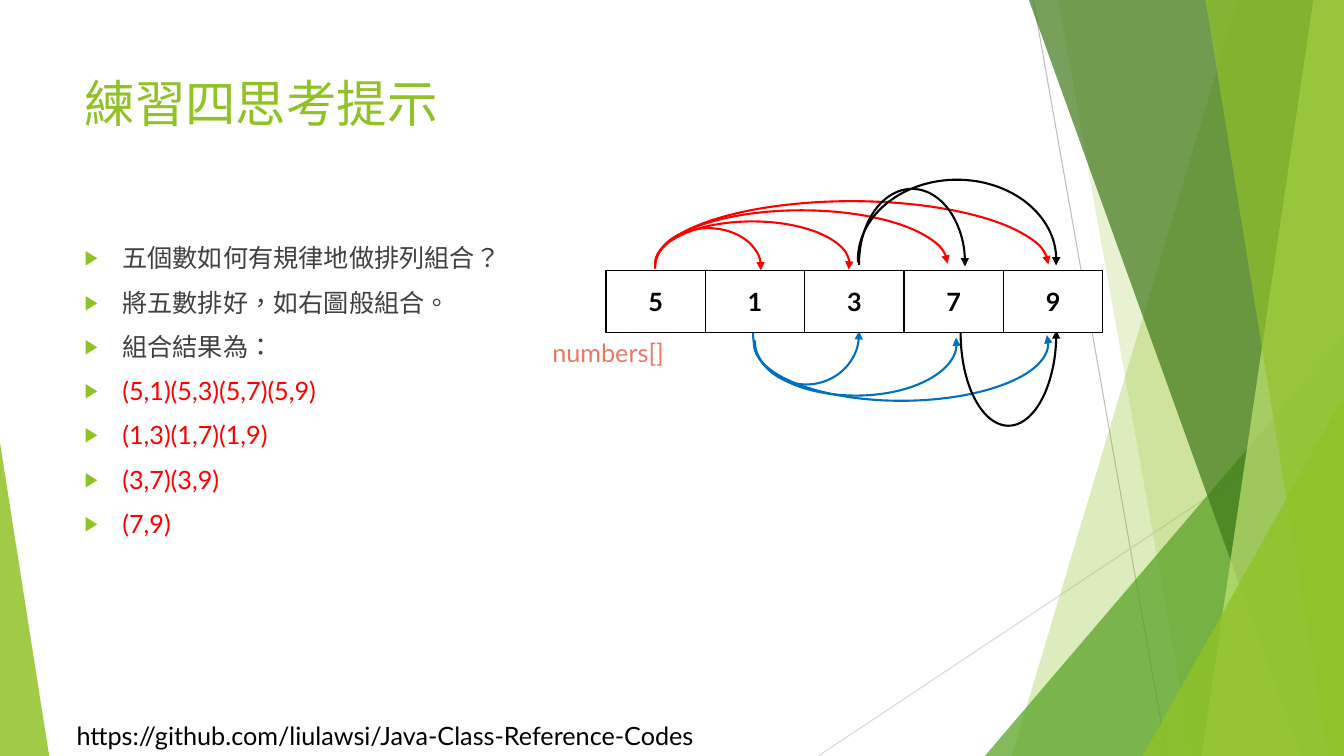
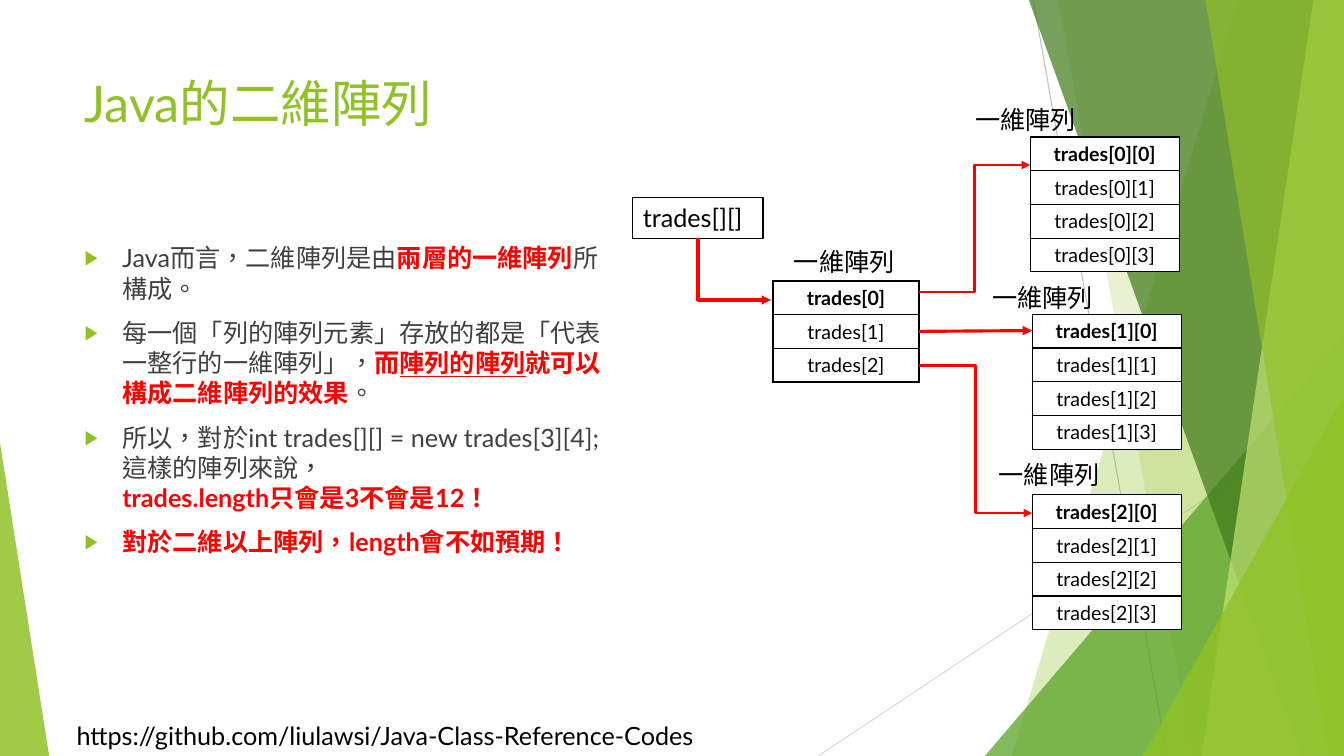
from dataclasses import dataclass

from lxml.etree import SubElement
from pptx import Presentation
from pptx.dml.color import RGBColor as RGB
from pptx.enum.lang import MSO_LANGUAGE_ID as Language
from pptx.enum.shapes import MSO_CONNECTOR as Connector, MSO_SHAPE as Preset
from pptx.enum.text import MSO_ANCHOR as Anchor, MSO_AUTO_SIZE as AutoSize, PP_ALIGN as Align
from pptx.oxml.ns import qn
from pptx.util import Cm, Pt


@dataclass(frozen=True)
class Theme:
    font: str = "Lato"
    lime: str = "90C226"
    green: str = "54A021"
    forest: str = "3F7819"
    pale: str = "C0E474"
    gray: str = "BFBFBF"
    silver: str = "D9D9D9"
    ink: str = "404040"
    black: str = "000000"
    white: str = "FFFFFF"
    red: str = "FF0000"
    blue: str = "0070C0"
    coral: str = "EB7766"
    title: int = 36
    text: int = 18
    cell: int = 14


THEME = Theme()
WIDTH, HEIGHT = 33.87, 19.05
MARGIN = 1.88
ROW_HEIGHT = 0.85
FOOTER = "https://github.com/liulawsi/Java-Class-Reference-Codes"

PLAIN = {}
RED = {"color": THEME.red}
STRONG = {"color": THEME.red, "bold": True}
STRONG_LINE = {**STRONG, "underline": True}


def set_all(target, values):
    for name, value in values.items():
        setattr(target, name, value)


def add_run(paragraph, text, color=THEME.black, size=THEME.text, **formats):
    run = paragraph.add_run()
    run.text = text
    set_all(run.font, {"name": THEME.font, "size": Pt(size),
                       "language_id": Language.TRADITIONAL_CHINESE, **formats})
    run.font.color.rgb = RGB.from_string(color)


def add_child(parent, tag, **attributes):
    return SubElement(parent, qn(tag), attributes)


def set_line(shape, color, width, arrow=False):
    shape.line.color.rgb = RGB.from_string(color)
    shape.line.width = Pt(width)
    if arrow:
        add_child(shape.element.spPr.find(qn("a:ln")), "a:tailEnd", type="triangle")


def set_glass(shape, color, opacity):
    shape.shadow.inherit = False
    shape.fill.solid()
    shape.fill.fore_color.rgb = RGB.from_string(color)
    shape.line.fill.background()
    tint = shape.element.spPr.find(qn("a:solidFill")).find(qn("a:srgbClr"))
    add_child(tint, "a:alpha", val=str(opacity * 1000))


def add_line(slide, kind, start, end, color, width, arrow=False):
    connector = slide.shapes.add_connector(kind, *map(Cm, (*start, *end)))
    set_line(connector, color, width, arrow)
    add_child(connector.element.spPr, "a:effectLst")
    return connector


def add_corner_arrow(slide, start, end, color, width):
    across, down = end[0] - start[0], end[1] - start[1]
    middle_x, middle_y = start[0] + across / 2, start[1] + down / 2
    connector = add_line(slide, Connector.ELBOW,
                         (middle_x + down / 2, middle_y - across / 2),
                         (middle_x - down / 2, middle_y + across / 2),
                         color, width, True)
    properties = connector.element.spPr
    properties.find(qn("a:prstGeom")).set("prst", "bentConnector2")
    properties.find(qn("a:xfrm")).set("rot", "16200000")


def add_label(slide, left, top, width, text, color=THEME.black):
    box = slide.shapes.add_textbox(Cm(left), Cm(top), Cm(width), Cm(1.03))
    set_all(box.text_frame, {"word_wrap": False, "auto_size": AutoSize.SHAPE_TO_FIT_TEXT})
    add_run(box.text_frame.paragraphs[0], text, color)
    return box


def add_facet(slide, top_x, bottom_x, color, opacity):
    builder = slide.shapes.build_freeform(Cm(top_x), 0)
    corners = [(WIDTH, 0), (WIDTH, HEIGHT), (bottom_x, HEIGHT)]
    builder.add_line_segments([(Cm(x), Cm(y)) for x, y in corners], close=True)
    set_glass(builder.convert_to_shape(), color, opacity)


def add_wedge(slide, left, top, width, apex, color, opacity):
    wedge = slide.shapes.add_shape(Preset.ISOSCELES_TRIANGLE, Cm(left), Cm(top),
                                   Cm(width), Cm(HEIGHT - top))
    wedge.adjustments[0] = apex
    set_glass(wedge, color, opacity)


def build_backdrop(slide):
    add_line(slide, Connector.STRAIGHT, (26.04, 0), (29.41, HEIGHT), THEME.gray, 0.75)
    add_line(slide, Connector.STRAIGHT, (WIDTH, 10.24), (20.62, HEIGHT), THEME.silver, 0.75)
    add_facet(slide, 31.19, 25.5, THEME.lime, 30)
    add_facet(slide, 26.67, 30.05, THEME.lime, 20)
    add_wedge(slide, 24.82, 8.46, 9.05, 1, THEME.green, 72)
    add_facet(slide, 25.93, 32.79, THEME.forest, 70)
    add_facet(slide, 33.1, 30.28, THEME.pale, 70)
    add_facet(slide, 30.38, 33.48, THEME.lime, 65)
    add_wedge(slide, 28.8, 9.98, 5.07, 1, THEME.lime, 80)
    add_wedge(slide, 0, 11.15, 1.24, 0, THEME.lime, 85)
    add_label(slide, 1.68, 18.03, 17.02, FOOTER)

    layout = slide.slide_layout
    for shape in list(slide.shapes):
        if not shape.is_placeholder:
            layout.shapes.element.append(shape.element)
    for number, properties in enumerate(layout.element.iter(qn("p:cNvPr")), 1):
        properties.set("id", str(number))


def place(placeholder, left, top, width, height):
    set_all(placeholder, {"left": Cm(left), "top": Cm(top),
                          "width": Cm(width), "height": Cm(height)})
    set_all(placeholder.text_frame, {"vertical_anchor": Anchor.TOP, "word_wrap": True,
                                     "auto_size": AutoSize.NONE})


def fill_title(slide, text):
    title = slide.shapes.title
    place(title, MARGIN, 1.7, 23.88, 3.66)
    paragraph = title.text_frame.paragraphs[0]
    paragraph.alignment = Align.LEFT
    add_run(paragraph, text, THEME.lime, THEME.title)


def add_bullet(paragraph):
    properties = paragraph._p.get_or_add_pPr()
    properties.set("marL", str(Cm(0.95)))
    properties.set("indent", str(-Cm(0.95)))
    add_child(add_child(properties, "a:buClr"), "a:srgbClr", val=THEME.lime)
    add_child(properties, "a:buSzPct", val="80000")
    add_child(properties, "a:buFont", typeface="Arial")
    add_child(properties, "a:buChar", char="▶")


def fill_list(slide, width, items):
    body = slide.placeholders[1]
    place(body, MARGIN, 5.99, width, 10.77)
    frame = body.text_frame
    for index, runs in enumerate(items):
        paragraph = frame.add_paragraph() if index else frame.paragraphs[0]
        add_bullet(paragraph)
        set_all(paragraph, {"space_before": Pt(10 if index else 0), "alignment": Align.LEFT})
        for text, formats in runs:
            for line_number, line in enumerate(text.split("\n")):
                if line_number:
                    paragraph.add_line_break()
                if line:
                    add_run(paragraph, line, **{"color": THEME.ink, **formats})


def format_cell(cell, text, size, bold, side_margin):
    set_all(cell, {"vertical_anchor": Anchor.MIDDLE,
                   "margin_left": Cm(side_margin), "margin_right": Cm(side_margin)})
    paragraph = cell.text_frame.paragraphs[0]
    paragraph.alignment = Align.CENTER
    add_run(paragraph, text, size=size, bold=bold)
    properties = cell._tc.get_or_add_tcPr()
    for side in ("a:lnL", "a:lnR", "a:lnT", "a:lnB"):
        border = add_child(properties, side, w=str(Pt(1)))
        add_child(add_child(border, "a:solidFill"), "a:srgbClr", val=THEME.black)
    cell.fill.solid()
    cell.fill.fore_color.rgb = RGB.from_string(THEME.white)


def add_grid(slide, left, top, width, height, rows, size, side_margin=0.25, all_bold=False):
    frame = slide.shapes.add_table(len(rows), len(rows[0]), Cm(left), Cm(top),
                                   Cm(width), Cm(height))
    table = frame.table
    set_all(table, {"first_row": False, "horz_banding": False})
    for row_number, row in enumerate(rows):
        for column_number, text in enumerate(row):
            format_cell(table.cell(row_number, column_number), text, size,
                        all_bold or row_number == 0, side_margin)


def add_arc(slide, left, top, width, height, color, angles, below):
    arc = slide.shapes.add_shape(Preset.ARC, *map(Cm, (left, top, width, height)))
    arc.shadow.inherit = False
    arc.fill.background()
    for index, angle in enumerate(angles):
        arc.adjustments[index] = angle
    set_line(arc, color, 1.5, True)
    if below:
        arc.element.spPr.find(qn("a:xfrm")).set("flipV", "1")


def build_pairs_figure(slide, left, top):
    tilted, level = (107.14, 1.93), (108.09, 215.85)
    arcs = [
        (1.24, -1.07, 2.67, 1.98, THEME.red, tilted, False),
        (1.24, -1.24, 4.9, 2.16, THEME.red, tilted, False),
        (1.24, -1.52, 7.37, 2.72, THEME.red, level, False),
        (1.24, -1.75, 9.91, 3.23, THEME.red, level, False),
        (3.71, 0.33, 2.67, 2.54, THEME.blue, tilted, True),
        (3.76, 0.51, 5.08, 2.64, THEME.blue, tilted, True),
        (3.73, 0.38, 7.42, 2.9, THEME.blue, tilted, True),
        (6.38, -2.06, 2.67, 3.76, THEME.black, tilted, False),
        (6.35, -2.29, 5, 4.04, THEME.black, tilted, False),
        (8.94, -0.76, 2.41, 4.67, THEME.black, tilted, True),
    ]
    for x, y, *details in arcs:
        add_arc(slide, left + x, top + y, *details)
    add_grid(slide, left, top, 12.52, 1.55, ["51379"], THEME.text, 0.51, True)
    add_label(slide, left - 1.6, top + 1.55, 3.43, "numbers[]", THEME.coral)


def build_trades_figure(slide, left, top):
    outer_left, outer_top, outer_width = left + 3.53, top + 4.57, 3.68
    add_grid(slide, outer_left, outer_top, outer_width, 3 * ROW_HEIGHT,
             [[f"trades[{row}]"] for row in range(3)], THEME.cell)
    add_label(slide, left + 3.81, top + 3.56, 3.07, "一維陣列")

    branches = [
        (10.01, 0.94, 8.38, 0, 0.28, 0.71, Connector.ELBOW, 1.5),
        (10.06, 5.41, 8.81, 4.47, 1.27, 0.41, Connector.STRAIGHT, 2.25),
        (10.06, 9.96, 8.97, 8.94, 2.13, 0.46, Connector.ELBOW, 1.5),
    ]
    for row, (x, y, label_x, label_y, leave, arrive, kind, weight) in enumerate(branches):
        add_grid(slide, left + x, top + y, 3.76, 4 * ROW_HEIGHT,
                 [[f"trades[{row}][{column}]"] for column in range(4)], THEME.cell)
        add_label(slide, left + label_x, top + label_y, 3.07, "一維陣列")
        add_line(slide, kind, (outer_left + outer_width, outer_top + leave),
                 (left + x, top + y + arrive), THEME.red, weight, True)

    root = add_label(slide, left, top + 2.46, 3.28, "trades[][]")
    set_line(root, THEME.black, 0.75)
    add_corner_arrow(slide, (left + 1.64, top + 3.5), (outer_left - 0.05, outer_top + 0.48),
                     THEME.red, 2.25)


def build_hint_slide(slide):
    fill_title(slide, "練習四思考提示")
    questions = ["五個數如何有規律地做排列組合？", "將五數排好，如右圖般組合。", "組合結果為："]
    pairs = ["(5,1)(5,3)(5,7)(5,9)", "(1,3)(1,7)(1,9)", "(3,7)(3,9)", "(7,9)"]
    fill_list(slide, 23.88, [[(text, PLAIN)] for text in questions]
              + [[(text, RED)] for text in pairs])
    build_pairs_figure(slide, 15.27, 6.82)


def build_array_slide(slide):
    fill_title(slide, "Java的二維陣列")
    fill_list(slide, 13.82, [
        [("Java而言，二維陣列是由", PLAIN), ("兩層的一維陣列", STRONG), ("所構成。", PLAIN)],
        [("每一個「列的陣列元素」存放的都是「代表一整行的一維陣列」，", PLAIN), ("而", STRONG),
         ("陣列的陣列", STRONG_LINE), ("就可以構成二維陣列的效果", STRONG), ("。", PLAIN)],
        [("所以，對於int trades[][] = new trades[3][4];\n這樣的陣列來說，\n", PLAIN),
         ("trades.length只會是3不會是12！", STRONG)],
        [("對於二維以上陣列，length會不如預期！", STRONG)],
    ])
    build_trades_figure(slide, 15.95, 2.51)


def main():
    presentation = Presentation()
    set_all(presentation, {"slide_width": Cm(WIDTH), "slide_height": Cm(HEIGHT)})
    layout = presentation.slide_layouts[1]
    builders = [build_hint_slide, build_array_slide]
    slides = [presentation.slides.add_slide(layout) for _ in builders]
    build_backdrop(slides[0])
    for build, slide in zip(builders, slides):
        build(slide)
    presentation.save("out.pptx")


if __name__ == "__main__":
    main()
